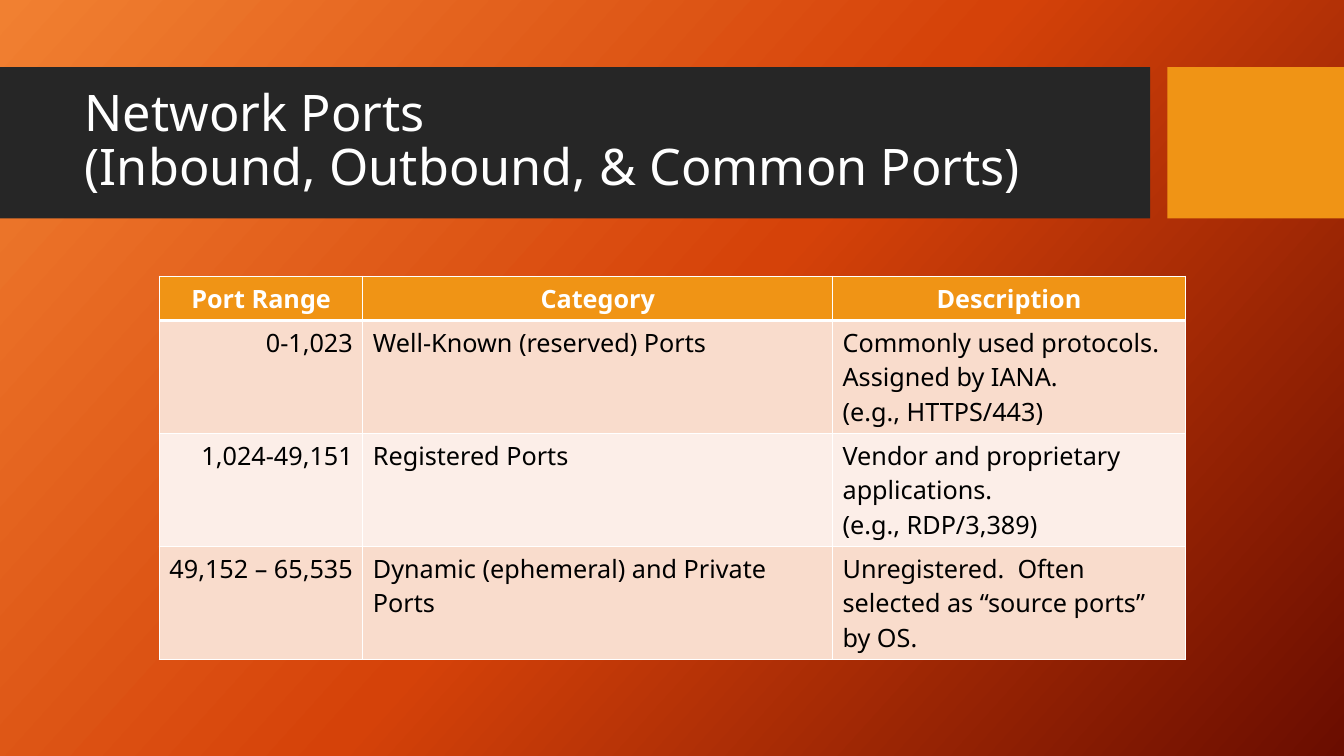
"""Build the network ports slide with its title band and port range table."""
from copy import deepcopy
from dataclasses import dataclass

from lxml.etree import SubElement
from pptx import Presentation
from pptx.dml.color import RGBColor
from pptx.enum.shapes import MSO_SHAPE as Preset
from pptx.enum.text import MSO_ANCHOR as Anchor, MSO_AUTO_SIZE as AutoSize, PP_ALIGN as Align
from pptx.oxml.ns import qn
from pptx.slide import Slide
from pptx.table import _Cell as Cell
from pptx.text.text import TextFrame
from pptx.util import Pt

WHITE, BLACK, ORANGE, CHARCOAL = "FFFFFF", "000000", "F09415", "262626"
BACKDROP_STOPS = {0: "F18031", 50: "D54209", 100: "6A0D00"}
BODY_FILLS = ("F9DCCC", "FCEEE8")
COLUMN_WIDTHS = (145.4, 335.5, 252)
HEADER_HEIGHT, BODY_HEIGHT = 29.2, 72.1
THIN, THICK = 1, 3


@dataclass
class Band:
    left: float
    width: float
    colour: str


@dataclass
class PortRange:
    ports: str
    category: str
    description: str


BANDS = (Band(0, 821.5, CHARCOAL), Band(833.8, 126.2, ORANGE))
HEADINGS = PortRange("Port Range", "Category", "Description")
PORT_RANGES = (
    PortRange("0-1,023", "Well-Known (reserved) Ports",
              "Commonly used protocols.  Assigned by IANA.\n(e.g., HTTPS/443)"),
    PortRange("1,024-49,151", "Registered Ports",
              "Vendor and proprietary applications.\n(e.g., RDP/3,389)"),
    PortRange("49,152 – 65,535", "Dynamic (ephemeral) and Private Ports",
              "Unregistered.  Often selected as “source ports” by OS."),
)


def rgb(colour: str) -> RGBColor:
    return RGBColor.from_string(colour)


def write(frame: TextFrame, text: str, *, size: float = 18, colour: str = BLACK,
          bold: bool = False, align: Align = Align.LEFT, spacing: float = 1.0) -> None:
    paragraph = frame.paragraphs[0]
    paragraph.text = text
    paragraph.alignment = align
    paragraph.line_spacing = spacing
    for run in paragraph.runs:
        run.font.name = "Noto Sans"
        run.font.size = Pt(size)
        run.font.bold = bold
        run.font.color.rgb = rgb(colour)
    run_format = paragraph.runs[0].font._element
    for line_break in paragraph._p.findall(qn("a:br")):
        line_break.append(deepcopy(run_format))


def paint_backdrop(slide: Slide) -> None:
    fill = slide.background.fill
    fill.gradient()
    fill.gradient_angle = 360 - 42
    stops = slide.element.find(f".//{qn('a:gsLst')}")
    stops.clear()
    for percent, colour in BACKDROP_STOPS.items():
        stop = SubElement(stops, qn("a:gs"), pos=str(percent * 1000))
        SubElement(stop, qn("a:srgbClr"), val=colour)


def draw_band(slide: Slide, band: Band) -> None:
    bar = slide.shapes.add_shape(Preset.RECTANGLE, Pt(band.left), Pt(48), Pt(band.width), Pt(108))
    bar.shadow.inherit = False
    bar.fill.solid()
    bar.fill.fore_color.rgb = rgb(band.colour)
    bar.line.fill.background()


def place_title(slide: Slide, text: str) -> None:
    title = slide.shapes.title
    title.left, title.top, title.width, title.height = Pt(53.3), Pt(59), Pt(756.7), Pt(85)
    title.text_frame.vertical_anchor = Anchor.MIDDLE
    title.text_frame.auto_size = AutoSize.NONE
    title.text_frame.word_wrap = True
    write(title.text_frame, text, size=36, colour=WHITE, spacing=0.9)
    title.element.getparent().append(title.element)


def style_cell(cell: Cell, fill: str, top: float, bottom: float) -> None:
    properties = cell._tc.get_or_add_tcPr()
    for side, width in {"L": THIN, "R": THIN, "T": top, "B": bottom}.items():
        border = SubElement(properties, qn(f"a:ln{side}"), w=str(Pt(width)))
        SubElement(SubElement(border, qn("a:solidFill")), qn("a:srgbClr"), val=WHITE)
    cell.fill.solid()
    cell.fill.fore_color.rgb = rgb(fill)


def draw_port_table(slide: Slide) -> None:
    entries = (HEADINGS, *PORT_RANGES)
    height = HEADER_HEIGHT + BODY_HEIGHT * len(PORT_RANGES)
    ports = slide.shapes.add_table(len(entries), len(COLUMN_WIDTHS), Pt(113.8), Pt(197.3),
                                   Pt(sum(COLUMN_WIDTHS)), Pt(height)).table
    for column, width in zip(ports.columns, COLUMN_WIDTHS):
        column.width = Pt(width)
    for index, (row, entry) in enumerate(zip(ports.rows, entries)):
        heading = index == 0
        row.height = Pt(HEADER_HEIGHT if heading else BODY_HEIGHT)
        fill = ORANGE if heading else BODY_FILLS[(index - 1) % 2]
        aligns = [Align.CENTER] * 3 if heading else [Align.RIGHT, Align.LEFT, Align.LEFT]
        texts = (entry.ports, entry.category, entry.description)
        for cell, text, align in zip(row.cells, texts, aligns):
            style_cell(cell, fill, top=THICK if index == 1 else THIN,
                       bottom=THICK if heading else THIN)
            write(cell.text_frame, text, colour=WHITE if heading else BLACK,
                  bold=heading, align=align)


def main() -> None:
    deck = Presentation()
    deck.slide_width, deck.slide_height = Pt(960), Pt(540)
    slide = deck.slides.add_slide(deck.slide_layouts.get_by_name("Title Only"))
    paint_backdrop(slide)
    for band in BANDS:
        draw_band(slide, band)
    place_title(slide, "Network Ports\n(Inbound, Outbound, & Common Ports)")
    draw_port_table(slide)
    deck.save("out.pptx")


if __name__ == "__main__":
    main()
